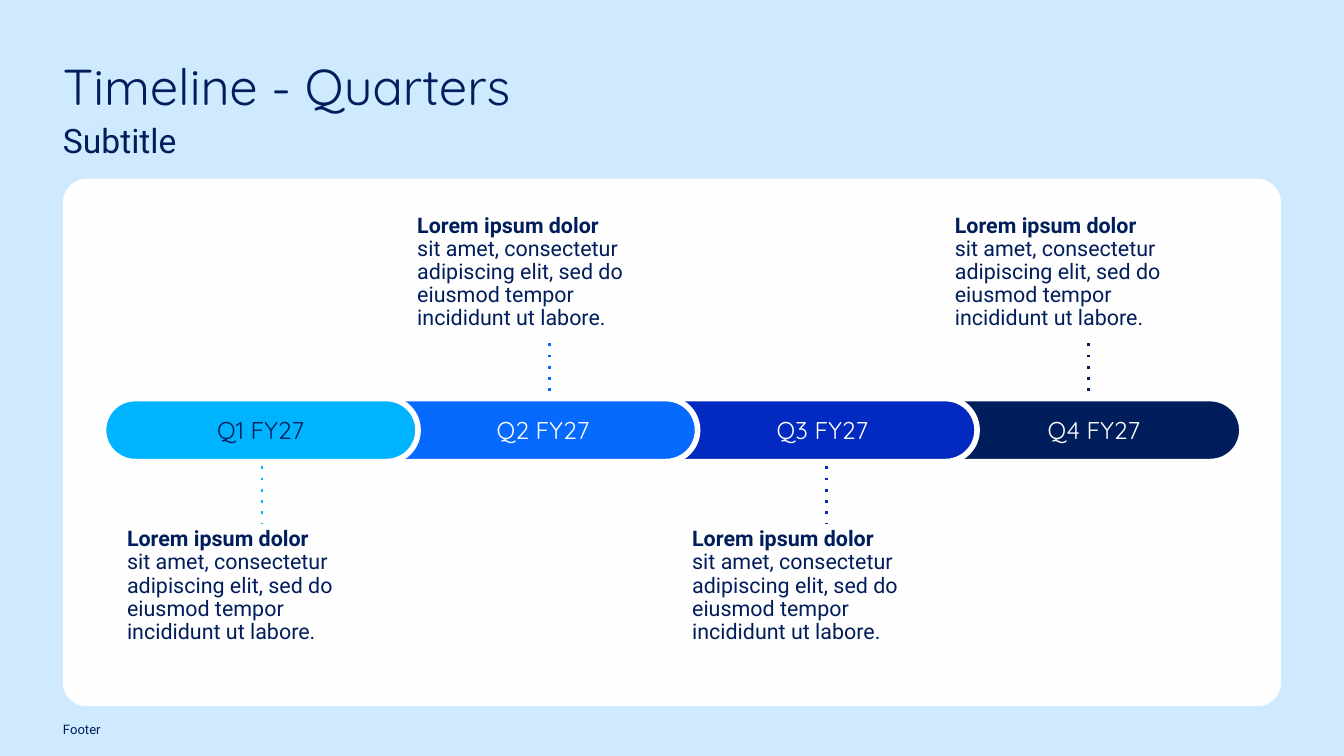
from lxml.etree import SubElement
from pptx import Presentation
from pptx.dml.color import RGBColor
from pptx.enum.dml import MSO_LINE
from pptx.enum.shapes import MSO_CONNECTOR, MSO_SHAPE
from pptx.enum.text import MSO_ANCHOR, MSO_AUTO_SIZE, PP_ALIGN
from pptx.oxml.ns import qn
from pptx.util import Inches, Pt

SLIDE_WIDTH, SLIDE_HEIGHT = Inches(20), Inches(11.25)
COLUMNS, ROWS = 64, 36
MARGIN = 3
BAR_ROW, BAR_ROWS = 18.98, 3
BAR_CENTRE = 20.61
NOTE_COLUMNS, NOTE_ROWS = 12.74, 6.56

COLORS = {
    "sky": "CFE9FE",
    "panel": "FFFEFE",
    "white": "FFFFFF",
    "navy": "001E5B",
    "royal": "022AC0",
    "blue": "066AFE",
    "cyan": "00B3FF",
}

QUARTERS = [
    {"label": "Q1 FY27", "color": "cyan", "ink": "navy", "bar": (4.93, 14.98),
     "indent": 0, "stem": 12.48, "note": 6.05, "above": False},
    {"label": "Q2 FY27", "color": "blue", "ink": "white", "bar": (17.22, 16),
     "indent": 0.4, "stem": 26.18, "note": 19.87, "above": True},
    {"label": "Q3 FY27", "color": "royal", "ink": "white", "bar": (30.53, 16),
     "indent": 0.4, "stem": 39.36, "note": 32.96, "above": False},
    {"label": "Q4 FY27", "color": "navy", "ink": "white", "bar": (43.14, 16),
     "indent": 0.6, "stem": 51.84, "note": 45.47, "above": True},
]

NOTE_HEADING = "Lorem ipsum dolor"
NOTE_BODY = "sit amet, consectetur adipiscing elit, sed do eiusmod tempor"
NOTE_ENDING = "incididunt ut labore."


def color(name):
    return RGBColor.from_string(COLORS[name])


def across(columns):
    return round(SLIDE_WIDTH * columns / COLUMNS)


def down(rows):
    return round(SLIDE_HEIGHT * rows / ROWS)


def area(column, row, columns, rows):
    return across(column), down(row), across(columns), down(rows)


def apply(target, values):
    for name, value in values.items():
        setattr(target, name, value)


def format_frame(box, anchor=MSO_ANCHOR.TOP, left=0, top=0, right=0, bottom=0):
    apply(box.text_frame, {
        "word_wrap": True,
        "auto_size": MSO_AUTO_SIZE.NONE,
        "vertical_anchor": anchor,
        "margin_left": Inches(left),
        "margin_top": Inches(top),
        "margin_right": Inches(right),
        "margin_bottom": Inches(bottom),
    })


def add_span(para, text, size, font="Roboto", ink="navy", bold=False):
    span = para.add_run()
    span.text = text
    apply(span.font, {"size": Pt(size), "name": font, "bold": bold})
    span.font.color.rgb = color(ink)


def format_para(para, **values):
    apply(para, {"alignment": PP_ALIGN.LEFT, "line_spacing": 0.9, **values})


def add_title(page, text):
    title = page.shapes.title
    left, top, width, height = area(MARGIN, 2.94, 53, 3)
    apply(title, {"left": left, "top": top, "width": width, "height": height})
    format_frame(title)
    para = title.text_frame.paragraphs[0]
    format_para(para)
    add_span(para, text, 54, "Quicksand")


def add_line_of_text(page, text, place, size, anchor=MSO_ANCHOR.TOP, **values):
    box = page.shapes.add_textbox(*area(*place))
    format_frame(box, anchor)
    para = box.text_frame.paragraphs[0]
    format_para(para, **values)
    add_span(para, text, size)


def add_rounded(page, place, fill, rounding):
    shape = page.shapes.add_shape(MSO_SHAPE.ROUNDED_RECTANGLE, *area(*place))
    shape.adjustments[0] = rounding
    shape.shadow.inherit = False
    shape.fill.solid()
    shape.fill.fore_color.rgb = color(fill)
    shape.line.fill.background()
    return shape


def add_stem(page, quarter):
    end = 16.35 if quarter["above"] else 24.9
    column = across(quarter["stem"])
    stem = page.shapes.add_connector(
        MSO_CONNECTOR.STRAIGHT, column, down(min(BAR_CENTRE, end)),
        column, down(max(BAR_CENTRE, end)))
    stem.line.color.rgb = color(quarter["color"])
    apply(stem.line, {"width": Pt(3), "dash_style": MSO_LINE.ROUND_DOT})
    properties = stem._element.spPr
    properties.find(".//" + qn("a:prstDash")).set("val", "dot")
    SubElement(properties, qn("a:effectLst"))


def add_bar(page, quarter):
    column, columns = quarter["bar"]
    bar = add_rounded(page, (column, BAR_ROW, columns, BAR_ROWS), quarter["color"], 0.5)
    bar.line.color.rgb = color("white")
    bar.line.width = Pt(6)
    format_frame(bar, MSO_ANCHOR.MIDDLE, 0.15 + quarter["indent"], 0.15, 0.15, 0.15)
    para = bar.text_frame.paragraphs[0]
    para.alignment = PP_ALIGN.CENTER
    add_span(para, quarter["label"], 26, "Quicksand", quarter["ink"])


def add_note(page, quarter):
    row = 9.18 if quarter["above"] else 24.67
    anchor = MSO_ANCHOR.BOTTOM if quarter["above"] else MSO_ANCHOR.TOP
    box = page.shapes.add_textbox(*area(quarter["note"], row, NOTE_COLUMNS, NOTE_ROWS))
    format_frame(box, anchor, top=0.15)
    para = box.text_frame.paragraphs[0]
    format_para(para)
    add_span(para, NOTE_HEADING, 23, bold=True)
    para.add_line_break()
    add_span(para, NOTE_BODY, 23)
    ending = box.text_frame.add_paragraph()
    format_para(ending)
    add_span(ending, NOTE_ENDING, 23)


def main():
    deck = Presentation()
    apply(deck, {"slide_width": SLIDE_WIDTH, "slide_height": SLIDE_HEIGHT})
    page = deck.slides.add_slide(deck.slide_layouts[5])
    page.background.fill.solid()
    page.background.fill.fore_color.rgb = color("sky")

    add_rounded(page, (MARGIN, 8.51, 58, 25.12), "panel", 0.045)
    add_title(page, "Timeline - Quarters")
    add_line_of_text(page, "Subtitle", (MARGIN, 5.95, 53, 3), 36)
    add_line_of_text(page, "Footer", (MARGIN, 33.63, 58, 1.5), 14,
                     MSO_ANCHOR.BOTTOM, space_after=Pt(18))

    for quarter in QUARTERS:
        add_stem(page, quarter)
    for quarter in reversed(QUARTERS):
        add_bar(page, quarter)
    for quarter in QUARTERS:
        add_note(page, quarter)
    deck.save("out.pptx")


if __name__ == "__main__":
    main()
